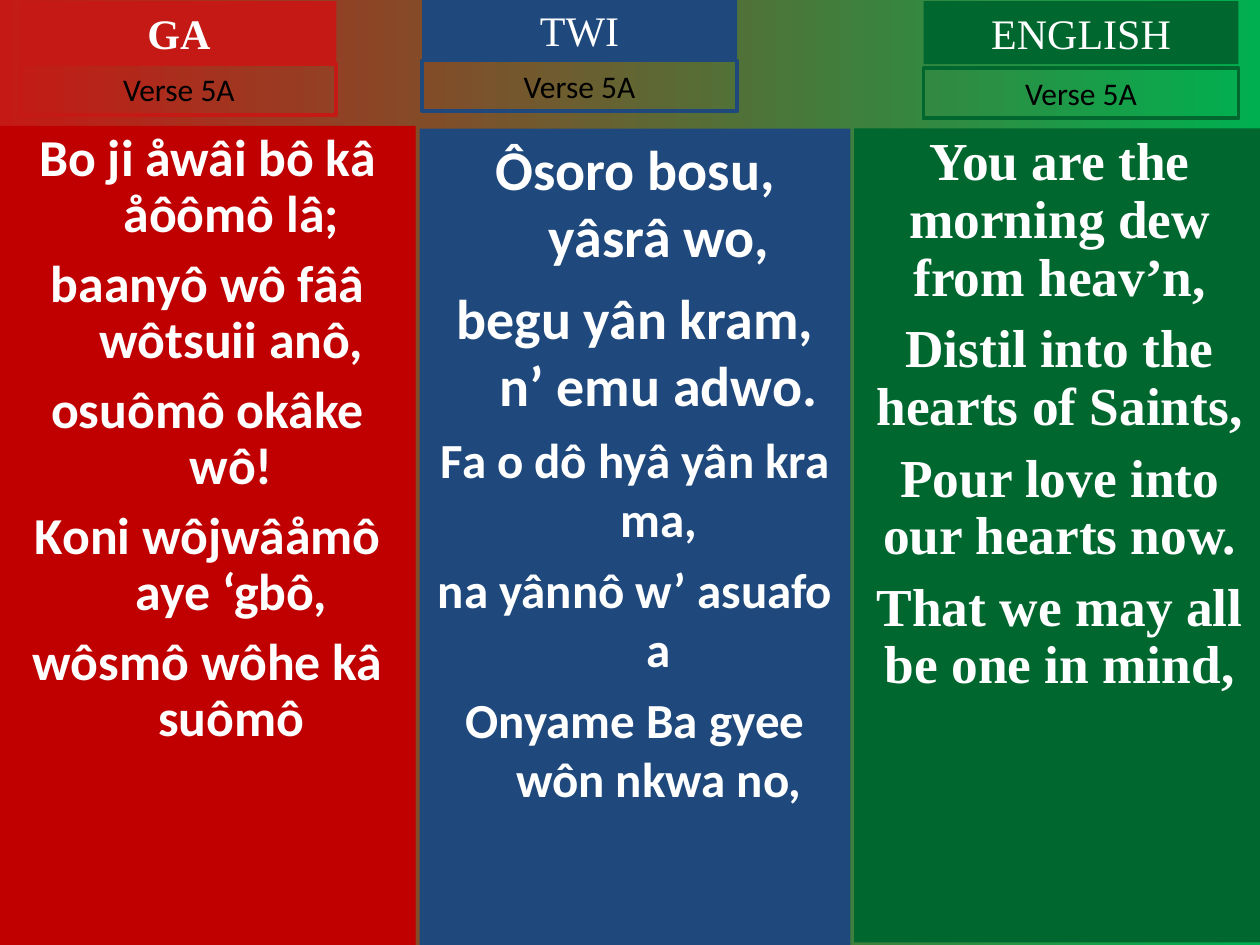
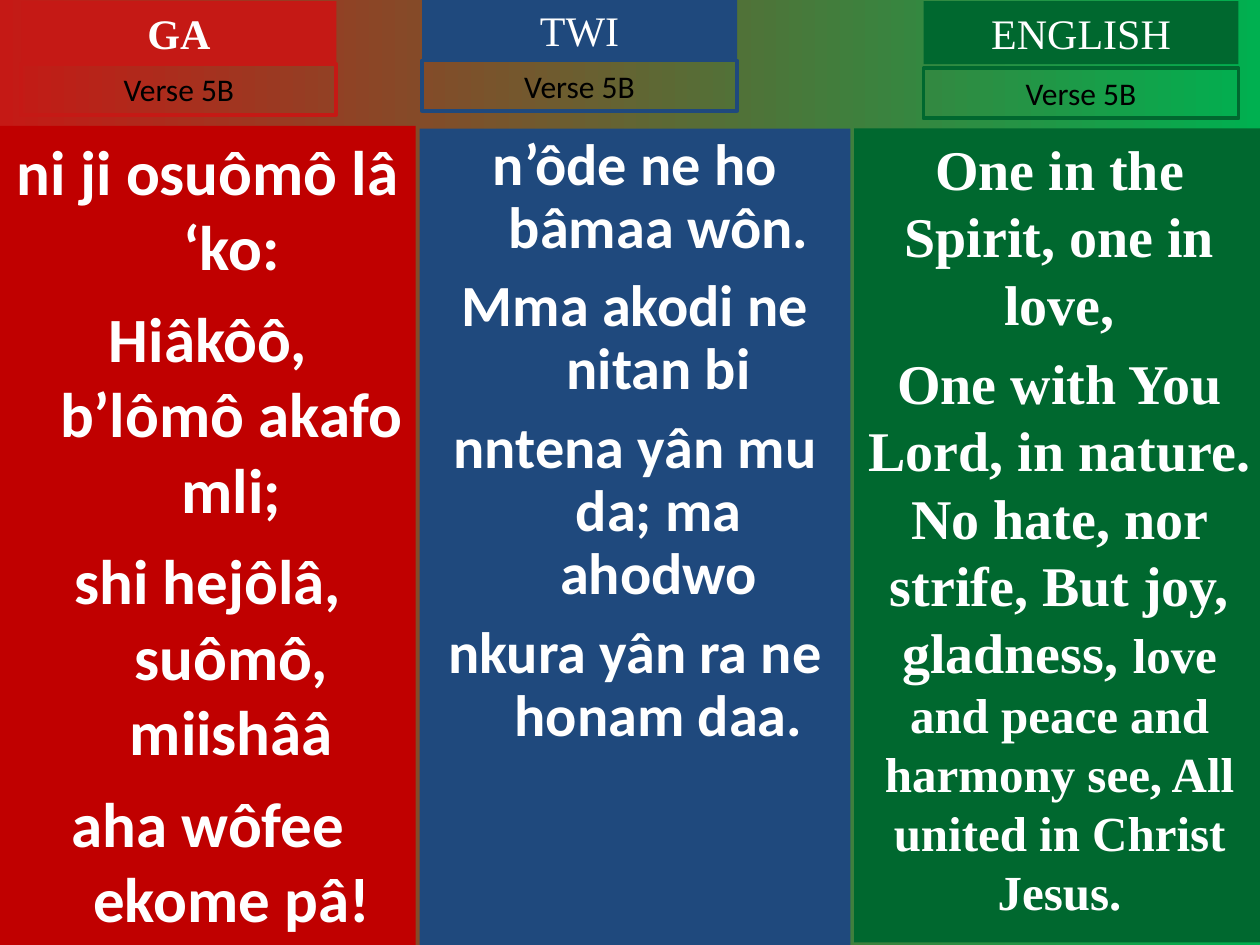
from dataclasses import dataclass
from math import ceil

from pptx import Presentation, util as u
from pptx.dml.color import RGBColor
from pptx.enum import shapes, text

SLIDE_WIDTH, SLIDE_HEIGHT = u.Inches(10), u.Inches(7.5)
COLUMN, ROW = SLIDE_WIDTH / 100, SLIDE_HEIGHT / 100
HANGING = round(3.75 * COLUMN)

COLORS = {
    "ga_tab": "C51915",
    "ga_panel": "C00000",
    "twi": "1F497D",
    "english": "00682F",
    "meadow": "00B050",
    "white": "FFFFFF",
    "black": "000000",
}
SANS, SERIF = "Calibri", "Times New Roman"
TAB_WIDTH, TAB_HEIGHT, VERSE_HEIGHT = 25, 6.67, 5.33


@dataclass
class Language:
    title: str
    tab_color: str
    panel_color: str
    tab_corner: tuple
    verse_top: float
    panel: tuple
    font: str
    hanging: bool
    bold_title: bool = False


LANGUAGES = [
    Language("GA", "ga_tab", "ga_panel", (1.7, 0.13), 6.8,
             (0, 13.33, 33, 86.67), SANS, True, bold_title=True),
    Language("TWI", "twi", "twi", (33.5, -0.13), 6.4,
             (33.3, 13.6, 34.2, 86.4), SANS, True),
    Language("ENGLISH", "english", "english", (73.3, 0.13), 7.2,
             (67.8, 13.6, 32.6, 86.13), SERIF, False),
]


def plain(size, *lines):
    return [[(line, size)] for line in lines]


VERSES = {
    "Verse 5A": [
        (0.9, plain(29.6, "Bo ji åwâi bô kâ åôômô lâ;",
                    "baanyô wô fââ wôtsuii anô,",
                    "osuômô okâke wô!",
                    "Koni wôjwâåmô aye ‘gbô,",
                    "wôsmô wôhe kâ suômô")),
        (1.0, plain(32, "Ôsoro bosu, yâsrâ wo,",
                    "begu yân kram, n’ emu adwo.")
         + plain(28, "Fa o dô hyâ yân kra ma,",
                 "na yânnô w’ asuafo a",
                 "Onyame Ba gyee wôn nkwa no,")),
        (0.9, plain(30.5, "You are the morning dew from heav’n,",
                    "Distil into the hearts of Saints,",
                    "Pour love into our hearts now.",
                    "That we may all be one in mind,")),
    ],
    "Verse 5B": [
        (1.0, plain(36, "ni ji osuômô lâ ‘ko:",
                    "Hiâkôô, b’lômô akafo mli;",
                    "shi hejôlâ, suômô, miishââ",
                    "aha wôfee ekome pâ!")),
        (0.9, plain(33.3, "n’ôde ne ho bâmaa wôn.",
                    "Mma akodi ne nitan bi",
                    "nntena yân mu da; ma ahodwo",
                    "nkura yân ra ne honam daa.")),
        (1.0, plain(32, "One in the Spirit, one in love,") + [[
            ("One with You Lord, in nature. No hate, nor strife, "
             "But joy, gladness, ", 32),
            ("love and peace and harmony see, All united in Christ Jesus.",
             28)]]),
    ],
}


def rgb(name):
    return RGBColor.from_string(COLORS[name])


def add_box(slide, area, fill=None, outline=None):
    left, top, width, height = area
    box = slide.shapes.add_shape(
        shapes.MSO_SHAPE.RECTANGLE, round(left * COLUMN), round(top * ROW),
        round(width * COLUMN), round(height * ROW))
    box.shadow.inherit = False
    if fill:
        box.fill.solid()
        box.fill.fore_color.rgb = rgb(fill)
    else:
        box.fill.background()
    if outline:
        box.line.color.rgb = rgb(outline)
        box.line.width = u.Pt(2.25)
    else:
        box.line.fill.background()
    box.text_frame.word_wrap = True
    box.text_frame.vertical_anchor = text.MSO_ANCHOR.TOP
    return box.text_frame


def style_font(font, name, size, color, bold=False):
    font.name = name
    font.size = u.Pt(size)
    font.color.rgb = rgb(color)
    font.bold = bold


def add_label(slide, area, wording, font, size, color, bold=False, **paint):
    label = add_box(slide, area, **paint)
    label.text = wording
    label.paragraphs[0].alignment = text.PP_ALIGN.CENTER
    style_font(label.paragraphs[0].runs[0].font, font, size, color, bold)


def add_heading(slide, language, verse):
    left, top = language.tab_corner
    add_label(slide, (left, top, TAB_WIDTH, TAB_HEIGHT), language.title,
              SERIF, 24, "white", language.bold_title,
              fill=language.tab_color)
    add_label(slide, (left, language.verse_top, TAB_WIDTH, VERSE_HEIGHT),
              verse, SANS, 18, "black", outline=language.tab_color)


def add_lyrics(slide, language, line_spacing, lines):
    lyrics = add_box(slide, language.panel, fill=language.panel_color)
    for index, line in enumerate(lines):
        paragraph = lyrics.add_paragraph() if index else lyrics.paragraphs[0]
        paragraph.alignment = text.PP_ALIGN.CENTER
        paragraph.line_spacing = line_spacing
        if index:
            smallest = min(size for _, size in line)
            paragraph.space_before = u.Pt(ceil(smallest / 4))
        if language.hanging:
            properties = paragraph._p.get_or_add_pPr()
            properties.set("marL", str(HANGING))
            properties.set("indent", str(-HANGING))
        for words, size in line:
            run = paragraph.add_run()
            run.text = words
            style_font(run.font, language.font, size, "white", bold=True)


def paint_background(slide):
    backdrop = slide.background.fill
    backdrop.gradient()
    backdrop.gradient_angle = 0
    for stop, color in zip(backdrop.gradient_stops, ("ga_tab", "meadow")):
        stop.color.rgb = rgb(color)


def add_verse_slide(deck, verse, translations):
    slide = deck.slides.add_slide(deck.slide_layouts[6])
    paint_background(slide)
    for language, (line_spacing, lines) in zip(LANGUAGES, translations):
        add_lyrics(slide, language, line_spacing, lines)
        add_heading(slide, language, verse)


def main():
    deck = Presentation()
    deck.slide_width, deck.slide_height = SLIDE_WIDTH, SLIDE_HEIGHT
    for verse, translations in VERSES.items():
        add_verse_slide(deck, verse, translations)
    deck.save("out.pptx")


if __name__ == "__main__":
    main()
